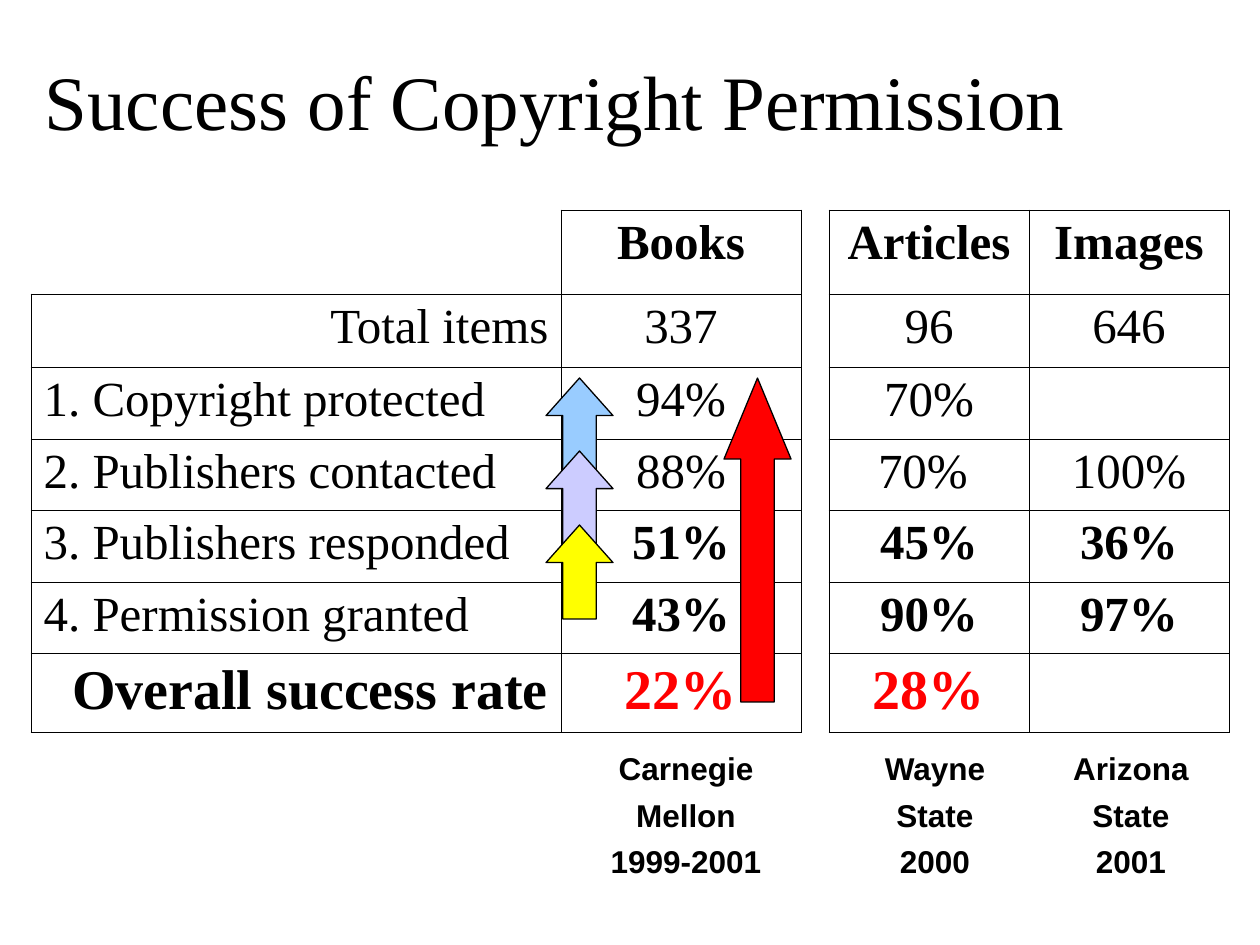
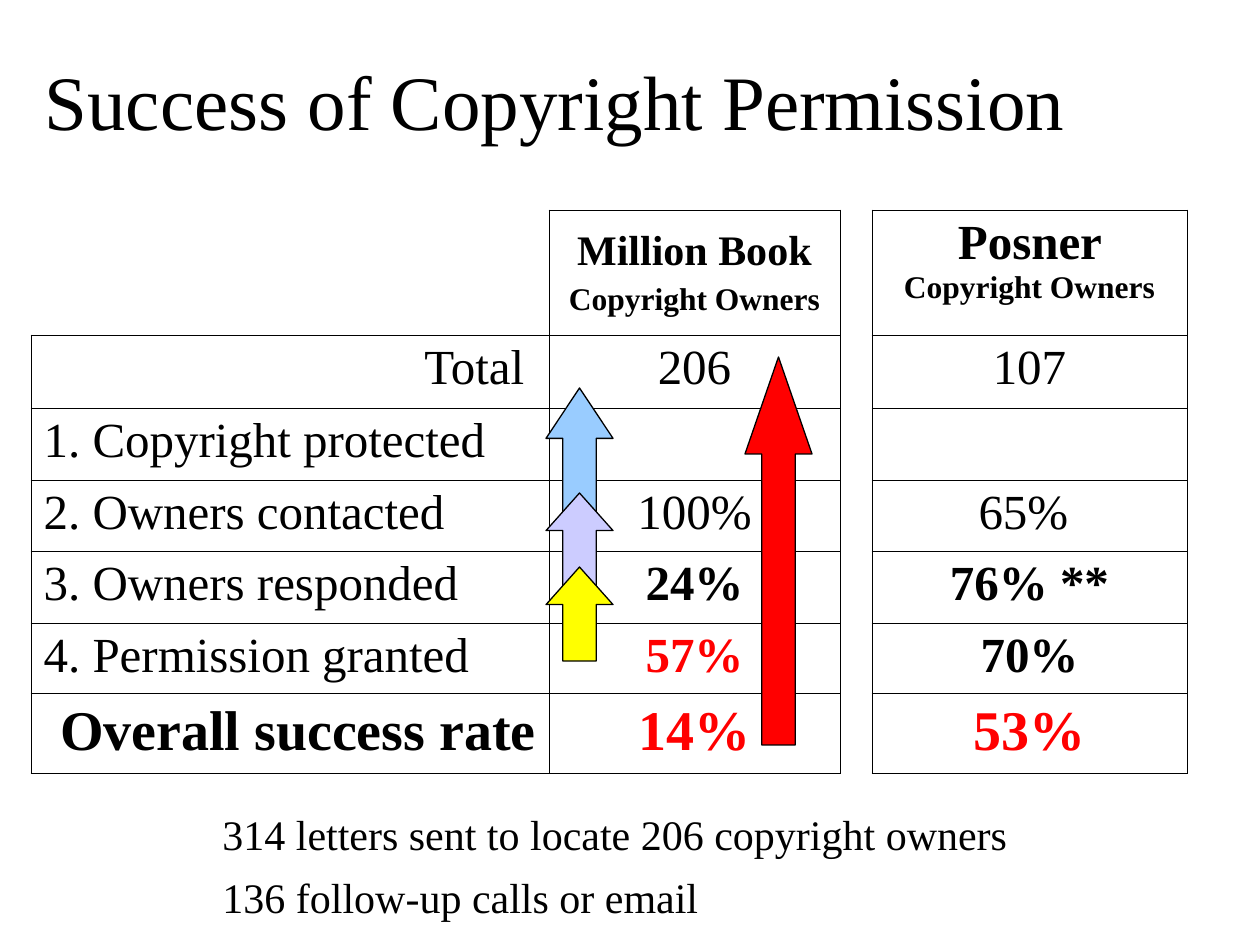
from dataclasses import dataclass

from lxml import etree
from pptx import Presentation
from pptx.dml.color import RGBColor
from pptx.enum.shapes import MSO_SHAPE
from pptx.enum.text import MSO_ANCHOR, PP_ALIGN
from pptx.oxml.ns import qn
from pptx.util import Emu, Pt

LEFT, CENTER, RIGHT = PP_ALIGN.LEFT, PP_ALIGN.CENTER, PP_ALIGN.RIGHT
TOP, MIDDLE = MSO_ANCHOR.TOP, MSO_ANCHOR.MIDDLE
UP_ARROW = MSO_SHAPE.UP_ARROW
EMU_PER_PX = 914400 / 126


@dataclass(frozen=True)
class Style:
    """Look of one run of text."""
    size: int
    bold: bool = False
    color: str = "000000"
    font: str = "Times New Roman"


class Theme:
    """Colours and text styles used on both slides."""
    black, white, red = "000000", "FFFFFF", "FF0000"
    steps = ("99CCFF", "CCCCFF", "FFFF00")
    border_pt, outline_pt = 0.45, 0.75
    title = Style(44)
    body = Style(28)
    strong = Style(28, True)
    alert = Style(28, True, red)
    total = Style(32, True)
    rate = Style(32, True, red)
    heading = Style(24, True)
    subheading = Style(18, True)
    campus = Style(18, True, font="Arial")
    note = Style(24)


TITLE = "Success of Copyright Permission"
TABLE_X, TABLE_Y = 31, 210
BODY_ROWS = (73, 72, 71, 72, 71, 80)
LABEL_STYLES = (Theme.body,) * 6 + (Theme.total,)
VALUE_STYLES = ((Theme.strong,) + (Theme.body,) * 3
                + (Theme.strong,) * 2 + (Theme.rate,))
LABEL_ALIGNS = (LEFT, RIGHT) + (LEFT,) * 4 + (RIGHT,)
ARROW_X, ARROW_W = 546, 67


def px(n):
    """Turn pixels into EMU."""
    return Emu(round(n * EMU_PER_PX))


def rgb(color):
    """Turn a hex string into a colour."""
    return RGBColor.from_string(color)


def add_run(p, text, style):
    """Append one styled run."""
    r = p.add_run()
    r.text = text
    r.font.size = Pt(style.size)
    r.font.bold = style.bold
    r.font.name = style.font
    r.font.color.rgb = rgb(style.color)


def fill_text(tf, paragraphs, align=LEFT, gap=0, spacing=None):
    """Write paragraphs, each a list of (text, style) runs."""
    for i, runs in enumerate(paragraphs):
        p = tf.add_paragraph() if i else tf.paragraphs[0]
        p.alignment = align
        if i and gap:
            p.space_before = Pt(gap)
        if spacing:
            p.line_spacing = spacing
        for text, style in runs:
            add_run(p, text, style)


def set_borders(cell, shown):
    """Draw the sides named in shown and hide the others."""
    tcPr = cell._tc.get_or_add_tcPr()
    for side in "LRTB":
        ln = etree.SubElement(tcPr, qn(f"a:ln{side}"),
                              w=str(Pt(Theme.border_pt)))
        if side in shown:
            fill = etree.SubElement(ln, qn("a:solidFill"))
            etree.SubElement(fill, qn("a:srgbClr"), val=Theme.black)
        else:
            etree.SubElement(ln, qn("a:noFill"))


def add_rates(s, x, header_h, widths, columns, labelled=False):
    """Add a table given by columns, the first holding labels if labelled."""
    heights = (header_h,) + BODY_ROWS
    table = s.shapes.add_table(len(heights), len(widths), px(x), px(TABLE_Y),
                               px(sum(widths)), px(sum(heights))).table
    table.first_row = table.horz_banding = False
    for row, h in zip(table.rows, heights):
        row.height = px(h)
    for c, (w, column) in enumerate(zip(widths, columns)):
        table.columns[c].width = px(w)
        is_label = labelled and c == 0
        styles = LABEL_STYLES if is_label else VALUE_STYLES
        for i, content in enumerate(column):
            cell = table.cell(i, c)
            is_corner = is_label and i == 0
            set_borders(cell, "RB" if is_corner else "LRTB")
            if is_corner:
                cell.fill.background()
                continue
            cell.fill.solid()
            cell.fill.fore_color.rgb = rgb(Theme.white)
            if isinstance(content, str):
                content = [[(content, styles[i])]] if content else []
            cell.vertical_anchor = MIDDLE if len(content) > 1 else TOP
            fill_text(cell.text_frame, content,
                      LABEL_ALIGNS[i] if is_label else CENTER, gap=4.5)


def add_arrow(s, x, y, h, color, head_share):
    """Add an upward arrow whose head takes a share of its height."""
    sp = s.shapes.add_shape(UP_ARROW, px(x), px(y), px(ARROW_W), px(h))
    sp.adjustments[0] = 0.5
    sp.adjustments[1] = head_share * h / ARROW_W
    sp.shadow.inherit = False
    sp.fill.solid()
    sp.fill.fore_color.rgb = rgb(color)
    sp.line.color.rgb = rgb(Theme.black)
    sp.line.width = Pt(Theme.outline_pt)


def add_arrows(s, steps, overall):
    """Add the three step arrows and the red overall arrow."""
    for (y, h), color in zip(steps, Theme.steps):
        add_arrow(s, ARROW_X, y, h, color, 0.4)
    add_arrow(s, *overall, Theme.red, 0.25)


def add_text(s, x, y, w, h, lines, style, **layout):
    """Add a text box with one paragraph per line."""
    tf = s.shapes.add_textbox(px(x), px(y), px(w), px(h)).text_frame
    tf.word_wrap = True
    fill_text(tf, [[(line, style)] for line in lines], **layout)


def add_campus(s, center, lines):
    """Add the study's source below its table column."""
    add_text(s, center - 100, 743, 200, 142, lines, Theme.campus,
             align=CENTER, gap=5)


def labels(total, who):
    """Return the label column of a rates table."""
    return ("", total, "1. Copyright protected", f"2. {who} contacted",
            f"3. {who} responded", "4. Permission granted",
            "Overall success rate")


def add_titled_slide(prs):
    """Add a slide with the shared title."""
    s = prs.slides.add_slide(prs.slide_layouts[5])
    sp = s.shapes.title
    sp.left, sp.top, sp.width, sp.height = px(32), px(21), px(1092), px(158)
    sp.text_frame.vertical_anchor = MIDDLE
    fill_text(sp.text_frame, [[(TITLE, Theme.title)]])
    return s


def add_items_slide(prs):
    """Build the slide on books, articles and images."""
    s = add_titled_slide(prs)
    add_rates(s, 829, 84, (200, 200), (
        ("Articles", "96", "70%", "70% ", "45%", "90%", "28%"),
        ("Images", "646", "", "100%", "36%", "97%", "")))
    add_rates(s, TABLE_X, 84, (530, 240), (
        labels("Total items", "Publishers"),
        ("Books", "337", "94%", "88%", "51%", "43%", "22%")), labelled=True)
    add_campus(s, 686, ("Carnegie", "Mellon", "1999-2001"))
    add_campus(s, 935, ("Wayne", "State", "2000"))
    add_campus(s, 1131, ("Arizona", "State", "2001"))
    add_arrows(s, ((378, 94), (451, 94), (525, 94)), (724, 378, 324))


def add_owners_slide(prs):
    """Build the slide on copyright owners."""
    s = add_titled_slide(prs)
    owners = ("Copyright Owners", Theme.subheading)
    posner = [[("Posner ", Theme.strong), owners]]
    million_book = [[("Million Book", Theme.heading)], [owners]]
    granted = [[("57%", Theme.alert)]]
    add_rates(s, 872, 125, (315,), (
        (posner, "107", "", "65% ", "76% **", "70%", "53%"),))
    add_rates(s, TABLE_X, 125, (518, 291), (
        labels("Total ", "Owners"),
        (million_book, "206", "", "100%", "24%", granted, "14%")),
        labelled=True)
    add_arrows(s, ((388, 126), (493, 94), (567, 94)), (745, 357, 388))
    add_text(s, 210, 790, 840, 134,
             ("314 letters sent to locate 206 copyright owners",
              "136 follow-up calls or email"), Theme.note, spacing=1.25)


def main():
    """Build and save the presentation."""
    prs = Presentation()
    prs.slide_width, prs.slide_height = px(1260), px(945)
    add_items_slide(prs)
    add_owners_slide(prs)
    prs.save("out.pptx")


if __name__ == "__main__":
    main()
